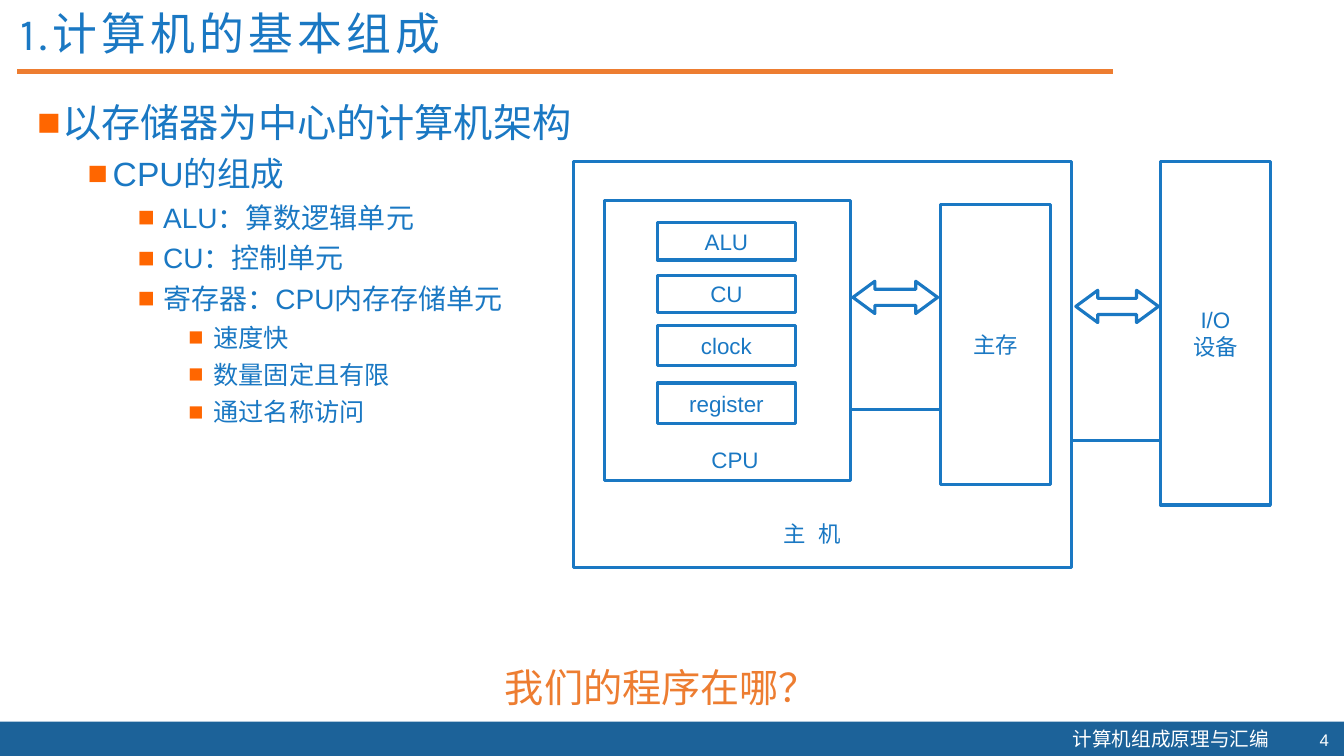
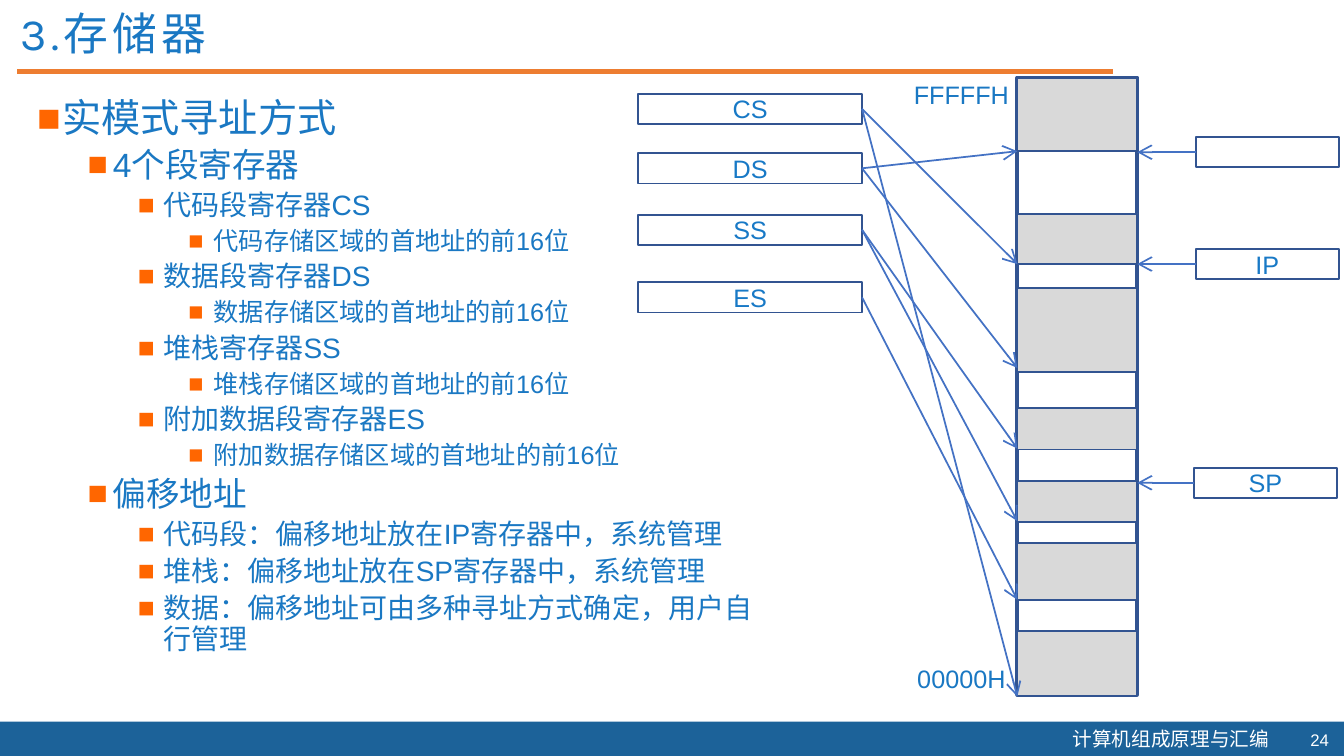
from lxml import etree
from pptx import Presentation
from pptx.dml.color import RGBColor
from pptx.enum.shapes import MSO_CONNECTOR, MSO_SHAPE
from pptx.enum.text import MSO_ANCHOR, PP_ALIGN
from pptx.oxml.ns import qn
from pptx.util import Inches, Pt

RECTANGLE = MSO_SHAPE.RECTANGLE
DOUBLE_ARROW = MSO_SHAPE.LEFT_RIGHT_ARROW
STRAIGHT = MSO_CONNECTOR.STRAIGHT
LEFT, CENTER, RIGHT = PP_ALIGN.LEFT, PP_ALIGN.CENTER, PP_ALIGN.RIGHT
TOP, MIDDLE = MSO_ANCHOR.TOP, MSO_ANCHOR.MIDDLE
LEFT_SIDE, RIGHT_SIDE = 1, 3

SLIDE_WIDTH, SLIDE_HEIGHT = 13.33, 7.5
BLANK_LAYOUT = 6

BLUE = "1A78C3"
BAND = "1C6299"
ORANGE = "ED7D31"
BULLET = "FF6600"
WHITE = "FFFFFF"
GRAY = "D9D9D9"
OUTLINE = "325491"
ARROW = "4472C4"
REGISTER_TEXT = "1879C6"

BODY_FONT = "Arial"
TITLE_FONT = "Karla"
QUESTION_FONT = "Times New Roman"
CHINESE_FONT = "Noto Sans CJK SC"

LEVEL_SIZES = [28, 24, 20, 18]
LEVEL_STEP, BULLET_HANG = 0.5, 0.25
THIN, MEDIUM, THICK = 1.25, 2.25, 3

ARCHITECTURE_OUTLINE = [
    (0, "以存储器为中心的计算机架构"),
    (1, "CPU的组成"),
    (2, "ALU：算数逻辑单元"),
    (2, "CU：控制单元"),
    (2, "寄存器：CPU内存存储单元"),
    (3, "速度快"),
    (3, "数量固定且有限"),
    (3, "通过名称访问"),
]
SEGMENT_REGISTERS = [
    ("代码段寄存器CS", "代码"),
    ("数据段寄存器DS", "数据"),
    ("堆栈寄存器SS", "堆栈"),
    ("附加数据段寄存器ES", "附加数据"),
]
OFFSET_RULES = [
    "代码段：偏移地址放在IP寄存器中，系统管理",
    "堆栈：偏移地址放在SP寄存器中，系统管理",
    "数据：偏移地址可由多种寻址方式确定，用户自行管理",
]

CPU_PART_LEFT, CPU_PART_WIDTH = 6.52, 1.37
CPU_PARTS = [("ALU", 2.21, 0.37), ("CU", 2.73, 0.37),
             ("clock", 3.23, 0.4), ("register", 3.8, 0.4)]
BUSES = [(8.44, 9.34, 4.06), (10.64, 11.51, 4.37)]
DATA_ARROWS = [(8.46, 2.79, 0.84, 0.32), (10.67, 2.88, 0.82, 0.32)]

MEMORY_LEFT, MEMORY_WIDTH = 10.09, 1.19
MEMORY_RIGHT = MEMORY_LEFT + MEMORY_WIDTH
MEMORY_TOP, MEMORY_HEIGHT = 0.77, 6.12
USED_CELLS = [(0.78, 0.72), (2.12, 0.5), (2.86, 0.83), (4.05, 0.41),
              (4.77, 0.41), (5.39, 0.56), (6.26, 0.64)]
END_ADDRESSES = [("FFFFFH", 0.74), ("00000H", 6.53)]

REGISTER_HEIGHT = 0.3
SEGMENT_LEFT, SEGMENT_WIDTH = 6.33, 2.22
SEGMENT_TARGETS = [
    ("CS", 0.93, [6.91, 2.62]),
    ("DS", 1.52, [3.65, 1.5]),
    ("SS", 2.13, [4.45, 5.17]),
    ("ES", 2.8, [5.95]),
]
OFFSET_WIDTH = 1.42
OFFSET_REGISTERS = [("", 11.86, 1.36), ("IP", 11.86, 2.47), ("SP", 11.84, 4.64)]


def rgb(value):
    return RGBColor.from_string(value)


def add_run(paragraph, text, size=16, color=BLUE, font=BODY_FONT, spacing=0):
    run = paragraph.add_run()
    run.text = text
    run.font.size = Pt(size)
    run.font.color.rgb = rgb(color)
    run.font.name = font
    properties = run._r.get_or_add_rPr()
    etree.SubElement(properties, qn("a:ea"), typeface=CHINESE_FONT)
    if spacing:
        properties.set("spc", str(spacing * 100))


def add_paragraphs(frame, count):
    return [frame.paragraphs[0]] + [frame.add_paragraph() for _ in range(count - 1)]


def write_text(shape, text, align=CENTER, anchor=MIDDLE, wrap=True,
               line_spacing=1.0, **run_format):
    frame = shape.text_frame
    frame.word_wrap = wrap
    frame.vertical_anchor = anchor
    lines = text.split("\n")
    for paragraph, line in zip(add_paragraphs(frame, len(lines)), lines):
        paragraph.alignment = align
        paragraph.line_spacing = line_spacing
        add_run(paragraph, line, **run_format)


def add_text(slide, box, text, **text_format):
    shape = slide.shapes.add_textbox(*map(Inches, box))
    write_text(shape, text, **text_format)


def add_shape(slide, box, kind=RECTANGLE, fill=None, line=BLUE, width=MEDIUM):
    shape = slide.shapes.add_shape(kind, *map(Inches, box))
    shape.shadow.inherit = False
    if fill:
        shape.fill.solid()
        shape.fill.fore_color.rgb = rgb(fill)
    else:
        shape.fill.background()
    if line:
        shape.line.color.rgb = rgb(line)
        shape.line.width = Pt(width)
    else:
        shape.line.fill.background()
    return shape


def add_line(slide, start, end, color=BLUE, width=MEDIUM):
    connector = slide.shapes.add_connector(STRAIGHT, *map(Inches, (*start, *end)))
    connector.line.color.rgb = rgb(color)
    connector.line.width = Pt(width)
    etree.SubElement(connector._element.spPr, qn("a:effectLst"))
    return connector


def add_register(slide, name, left, top, width):
    box = (left, top, width, REGISTER_HEIGHT)
    register = add_shape(slide, box, fill=WHITE, line=OUTLINE, width=THIN)
    if name:
        write_text(register, name, size=18, color=REGISTER_TEXT)
    return register


def add_pointer(slide, register, side, start, end):
    connector = add_line(slide, start, end, color=ARROW, width=THIN)
    connector.begin_connect(register, side)
    etree.SubElement(connector.line._get_or_add_ln(), qn("a:tailEnd"),
                     type="arrow", w="lg", len="lg")


def add_bullet(paragraph, level):
    paragraph.level = level
    properties = paragraph._p.get_or_add_pPr()
    properties.set("marL", str(Inches(BULLET_HANG + LEVEL_STEP * level)))
    properties.set("indent", str(-Inches(BULLET_HANG)))
    bullet_color = etree.SubElement(properties, qn("a:buClr"))
    etree.SubElement(bullet_color, qn("a:srgbClr"), val=BULLET)
    etree.SubElement(properties, qn("a:buFont"), typeface=BODY_FONT)
    etree.SubElement(properties, qn("a:buChar"), char="■")


def add_outline(slide, box, items, line_spacing=1.0):
    frame = slide.shapes.add_textbox(*map(Inches, box)).text_frame
    frame.word_wrap = True
    paragraphs = add_paragraphs(frame, len(items))
    for paragraph, (level, text) in zip(paragraphs, items):
        add_bullet(paragraph, level)
        paragraph.line_spacing = line_spacing
        add_run(paragraph, text, size=LEVEL_SIZES[level])
    for paragraph in paragraphs[1:]:
        paragraph.space_before = Pt(5)


def addressing_outline():
    items = [(0, "实模式寻址方式"), (1, "4个段寄存器")]
    for register, area in SEGMENT_REGISTERS:
        items += [(2, register), (3, f"{area}存储区域的首地址的前16位")]
    items.append((1, "偏移地址"))
    return items + [(2, rule) for rule in OFFSET_RULES]


def add_slide(presentation, title, number):
    slide = presentation.slides.add_slide(presentation.slide_layouts[BLANK_LAYOUT])
    add_shape(slide, (0, 7.16, SLIDE_WIDTH, 0.35), fill=BAND, line=None)
    add_text(slide, (10.54, 7.16, 2.18, 0.34), "计算机组成原理与汇编", size=14,
             color=WHITE, font=CHINESE_FONT, align=LEFT, anchor=TOP)
    add_text(slide, (12.78, 7.19, 0.5, 0.3), number, size=12, color=WHITE,
             align=RIGHT)
    add_line(slide, (0.17, 0.71), (11.04, 0.71), color=ORANGE, width=THICK)
    add_text(slide, (0.11, 0.07, 10.65, 0.48), title, size=32, font=TITLE_FONT,
             spacing=3, align=LEFT, anchor=TOP, line_spacing=0.9)
    return slide


def draw_computer(slide):
    add_shape(slide, (5.69, 1.6, 4.94, 4.03))
    add_text(slide, (7.22, 5.04, 1.67, 0.51), "主 机", spacing=3)
    add_shape(slide, (6, 1.99, 2.44, 2.78))
    add_text(slide, (6.68, 4.3, 1.22, 0.51), "CPU")
    for name, top, height in CPU_PARTS:
        part = add_shape(slide, (CPU_PART_LEFT, top, CPU_PART_WIDTH, height))
        write_text(part, name)
    main_memory = add_shape(slide, (9.33, 2.03, 1.09, 2.78))
    write_text(main_memory, "主存")
    devices = add_shape(slide, (11.51, 1.6, 1.09, 3.41))
    write_text(devices, "I/O\n设备")
    for left, right, height in BUSES:
        add_line(slide, (left, height), (right, height))
    for box in DATA_ARROWS:
        arrow = add_shape(slide, box, kind=DOUBLE_ARROW)
        arrow.adjustments[0] = 0.5
        arrow.adjustments[1] = 0.68


def draw_memory(slide):
    add_shape(slide, (MEMORY_LEFT, MEMORY_TOP, MEMORY_WIDTH, MEMORY_HEIGHT),
              fill=WHITE, line=OUTLINE, width=THICK)
    for top, height in USED_CELLS:
        add_shape(slide, (MEMORY_LEFT, top, MEMORY_WIDTH, height), fill=GRAY,
                  line=OUTLINE, width=THIN)
    for address, top in END_ADDRESSES:
        add_text(slide, (8.86, top, 1.35, 0.4), address, size=18, anchor=TOP)


def draw_segment_registers(slide):
    for name, top, targets in SEGMENT_TARGETS:
        register = add_register(slide, name, SEGMENT_LEFT, top, SEGMENT_WIDTH)
        start = (SEGMENT_LEFT + SEGMENT_WIDTH, top + REGISTER_HEIGHT / 2)
        for target in targets:
            add_pointer(slide, register, RIGHT_SIDE, start, (MEMORY_LEFT, target))


def draw_offset_registers(slide):
    for name, left, top in OFFSET_REGISTERS:
        register = add_register(slide, name, left, top, OFFSET_WIDTH)
        middle = top + REGISTER_HEIGHT / 2
        add_pointer(slide, register, LEFT_SIDE, (left, middle), (MEMORY_RIGHT, middle))


def build_architecture_slide(presentation):
    slide = add_slide(presentation, "1.计算机的基本组成", "4")
    add_outline(slide, (0.27, 0.93, 12.94, 5.37), ARCHITECTURE_OUTLINE)
    draw_computer(slide)
    add_text(slide, (4.91, 6.53, 3.34, 0.57), "我们的程序在哪？", size=28,
             color=ORANGE, font=QUESTION_FONT, align=LEFT, anchor=TOP, wrap=False)


def build_addressing_slide(presentation):
    slide = add_slide(presentation, "3.存储器", "24")
    add_outline(slide, (0.27, 0.93, 7.51, 6.07), addressing_outline(),
                line_spacing=0.9)
    draw_memory(slide)
    draw_segment_registers(slide)
    draw_offset_registers(slide)


def main():
    presentation = Presentation()
    presentation.slide_width = Inches(SLIDE_WIDTH)
    presentation.slide_height = Inches(SLIDE_HEIGHT)
    build_architecture_slide(presentation)
    build_addressing_slide(presentation)
    presentation.save("out.pptx")


if __name__ == "__main__":
    main()
